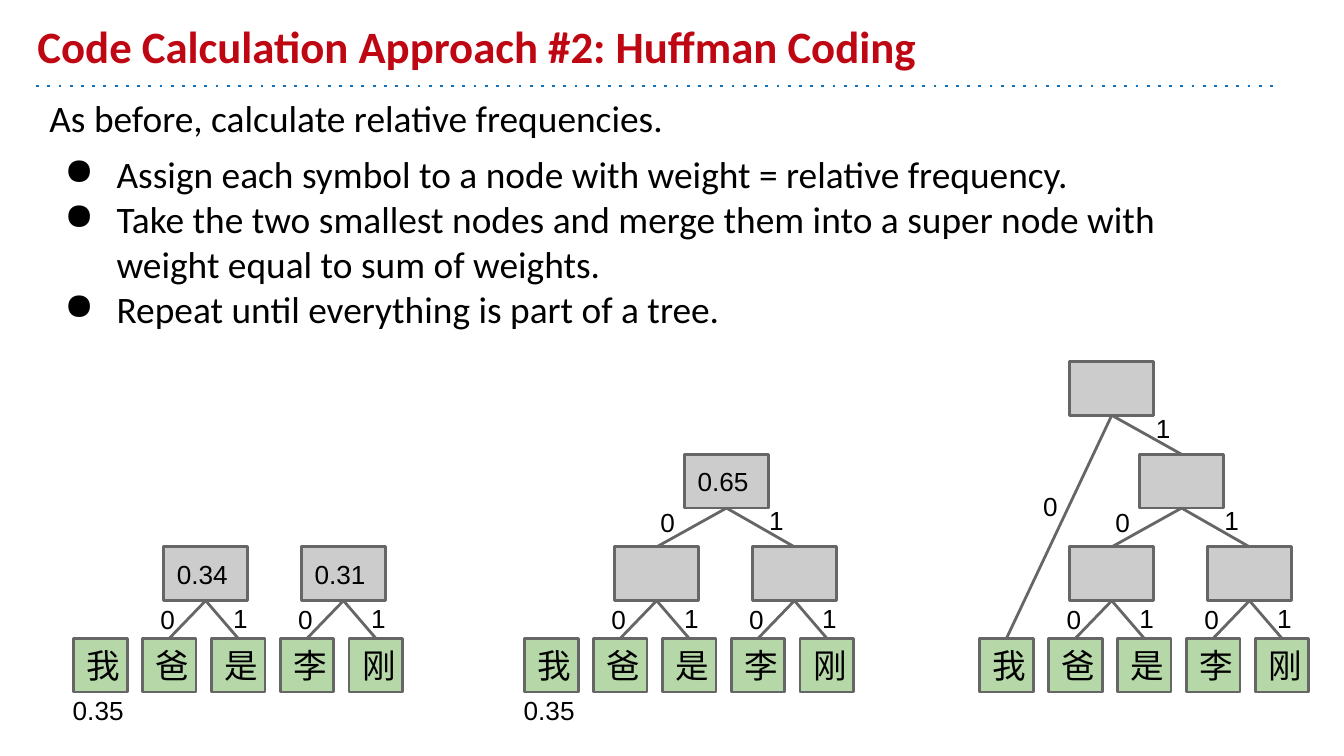
"""Builds a slide showing three stages of Huffman coding as merged trees."""
from dataclasses import dataclass

from lxml import etree
from pptx import Presentation
from pptx.dml.color import RGBColor
from pptx.enum.dml import MSO_LINE
from pptx.enum.shapes import MSO_CONNECTOR, MSO_SHAPE
from pptx.enum.text import MSO_ANCHOR, PP_ALIGN
from pptx.oxml.ns import qn
from pptx.shapes.autoshape import Shape
from pptx.shapes.connector import Connector
from pptx.slide import Slide
from pptx.text.text import _Paragraph as Paragraph
from pptx.util import Pt

ROUND_DOT = MSO_LINE.ROUND_DOT
STRAIGHT = MSO_CONNECTOR.STRAIGHT
RECTANGLE = MSO_SHAPE.RECTANGLE
TOP, MIDDLE, BOTTOM = MSO_ANCHOR.TOP, MSO_ANCHOR.MIDDLE, MSO_ANCHOR.BOTTOM
LEFT = PP_ALIGN.LEFT

COLORS = {
    "title": "BE0712",
    "rule": "1072BD",
    "text": "000000",
    "leaf": "B6D7A8",
    "node": "CCCCCC",
    "outline": "666666",
}
SYMBOLS = "我爸是李刚"
LEAF_SIZE = 28.8
LEAF_PITCH = 36.9
LEAF_TOP = 342
NODE_WIDTH = 45
NODE_HEIGHT = 28.8
LEVEL_TOPS = (293, 243.4, 193.7)
TITLE = "Code Calculation Approach #2: Huffman Coding"
INTRODUCTION = "As before, calculate relative frequencies."
STEPS = (
    "Assign each symbol to a node with weight = relative frequency.",
    "Take the two smallest nodes and merge them into a super node with "
    "weight equal to sum of weights.",
    "Repeat until everything is part of a tree.",
)


@dataclass(frozen=True)
class Style:
    size: float
    font: str = "Arial"
    color: str = "text"
    bold: bool = False


@dataclass(frozen=True)
class Box:
    left: float
    top: float
    width: float
    height: float


@dataclass(frozen=True)
class Child:
    center: float
    top: float


@dataclass(frozen=True)
class BitLabel:
    bit: str
    across: float
    down: float


@dataclass(frozen=True)
class Merge:
    center: float
    level: int
    children: tuple[Child, Child]
    labels: tuple[BitLabel, BitLabel]
    weight: str = ""


@dataclass(frozen=True)
class Tree:
    left: float
    merges: tuple[Merge, ...]
    first_weight: str = ""


TITLE_STYLE = Style(24, "Calibri", "title", True)
BODY_STYLE = Style(20, "Calibri")
SYMBOL_STYLE = Style(18)
NUMBER_STYLE = Style(14)
PAIR_LABELS = (BitLabel("0", -31.3, 23), BitLabel("1", 7.7, 22.3))
SUPER_LABELS = (BitLabel("0", -42.5, 20.9), BitLabel("1", 15.8, 19.4))
ROOT_LABELS = (BitLabel("0", -43.9, 61.9), BitLabel("1", 16.6, 20.2))
LEFT_CENTER, SUPER_CENTER, RIGHT_CENTER = 70.8, 108.2, 144.6


def color(name: str) -> RGBColor:
    """Look up a named colour."""
    return RGBColor.from_string(COLORS[name])


def leaf(index: int) -> Child:
    """Give the top centre of a leaf within its tree."""
    return Child(LEAF_SIZE / 2 + index * LEAF_PITCH, LEAF_TOP)


def pair(center: float, first_leaf: int, weight: str = "") -> Merge:
    """Describe a node that merges two neighbouring leaves."""
    return Merge(center, 0, (leaf(first_leaf), leaf(first_leaf + 1)), PAIR_LABELS, weight)


def pairs(left_weight: str = "", right_weight: str = "") -> tuple[Merge, Merge]:
    """Describe both bottom merges of a tree."""
    return pair(LEFT_CENTER, 1, left_weight), pair(RIGHT_CENTER, 3, right_weight)


def super_node(weight: str = "") -> Merge:
    """Describe the node that merges both pairs."""
    children = (Child(LEFT_CENTER, LEVEL_TOPS[0]), Child(RIGHT_CENTER, LEVEL_TOPS[0]))
    return Merge(SUPER_CENTER, 1, children, SUPER_LABELS, weight)


ROOT = Merge(LEFT_CENTER, 2, (leaf(0), Child(SUPER_CENTER, LEVEL_TOPS[1])), ROOT_LABELS)
TREES = (
    Tree(39.4, pairs("0.34", "0.31"), "0.35"),
    Tree(281, (*pairs(), super_node("0.65")), "0.35"),
    Tree(524.8, (*pairs(), super_node(), ROOT)),
)


def format_paragraph(paragraph: Paragraph, style: Style) -> None:
    """Apply a text style to every run."""
    paragraph.alignment = LEFT
    for run in paragraph.runs:
        run.font.size = Pt(style.size)
        run.font.name = style.font
        run.font.bold = style.bold
        run.font.color.rgb = color(style.color)


def write_text(shape: Shape, text: str, style: Style, anchor: MSO_ANCHOR) -> None:
    """Fill a shape with wrapped and styled text."""
    frame = shape.text_frame
    frame.text = text
    frame.word_wrap = True
    frame.vertical_anchor = anchor
    frame.margin_left = frame.margin_right = Pt(7.2)
    frame.margin_top = frame.margin_bottom = Pt(7.2)
    for paragraph in frame.paragraphs:
        format_paragraph(paragraph, style)


def add_text(slide: Slide, box: Box, text: str, style: Style, anchor: MSO_ANCHOR = TOP) -> Shape:
    """Add a text box."""
    shape = slide.shapes.add_textbox(Pt(box.left), Pt(box.top), Pt(box.width), Pt(box.height))
    write_text(shape, text, style, anchor)
    return shape


def add_node(slide: Slide, box: Box, fill: str, text: str, style: Style) -> None:
    """Add an outlined rectangle with optional text."""
    shape = slide.shapes.add_shape(
        RECTANGLE, Pt(box.left), Pt(box.top), Pt(box.width), Pt(box.height))
    shape.shadow.inherit = False
    shape.fill.solid()
    shape.fill.fore_color.rgb = color(fill)
    shape.line.color.rgb = color("outline")
    shape.line.width = Pt(1.5)
    if text:
        write_text(shape, text, style, MIDDLE)


def add_line(slide: Slide, start: Child, end: Child, line_color: str) -> Connector:
    """Add a straight line without a shadow."""
    connector = slide.shapes.add_connector(
        STRAIGHT, Pt(start.center), Pt(start.top), Pt(end.center), Pt(end.top))
    connector.line.color.rgb = color(line_color)
    connector.line.width = Pt(1.5)
    etree.SubElement(connector._element.spPr, qn("a:effectLst"))
    return connector


def add_bullet(paragraph: Paragraph) -> None:
    """Give a paragraph a hanging round bullet."""
    properties = paragraph._p.get_or_add_pPr()
    properties.set("marL", str(Pt(36)))
    properties.set("indent", str(Pt(-28)))
    bullet_color = etree.SubElement(properties, qn("a:buClr"))
    etree.SubElement(bullet_color, qn("a:srgbClr"), val=COLORS["text"])
    etree.SubElement(properties, qn("a:buChar"), char="●")


def add_merge(slide: Slide, left: float, merge: Merge) -> None:
    """Add a merged node with its edges and bit labels."""
    center, top = left + merge.center, LEVEL_TOPS[merge.level]
    box = Box(center - NODE_WIDTH / 2, top, NODE_WIDTH, NODE_HEIGHT)
    add_node(slide, box, "node", merge.weight, NUMBER_STYLE)
    for child, label in zip(merge.children, merge.labels):
        end = Child(left + child.center, child.top)
        add_line(slide, Child(center, top + NODE_HEIGHT), end, "outline")
        label_box = Box(center + label.across, top + label.down, 19.4, 23)
        add_text(slide, label_box, label.bit, NUMBER_STYLE)


def add_tree(slide: Slide, tree: Tree) -> None:
    """Add the leaves and merges of one stage."""
    for index, symbol in enumerate(SYMBOLS):
        box = Box(tree.left + index * LEAF_PITCH, LEAF_TOP, LEAF_SIZE, LEAF_SIZE)
        add_node(slide, box, "leaf", symbol, SYMBOL_STYLE)
    if tree.first_weight:
        box = Box(tree.left - 7.5, 366, NODE_WIDTH, NODE_HEIGHT)
        add_text(slide, box, tree.first_weight, NUMBER_STYLE, MIDDLE)
    for merge in tree.merges:
        add_merge(slide, tree.left, merge)


def main() -> None:
    """Build and save the presentation."""
    presentation = Presentation()
    presentation.slide_width, presentation.slide_height = Pt(720), Pt(405)
    slide = presentation.slides.add_slide(presentation.slide_layouts[6])
    rule = add_line(slide, Child(19.4, 46.1), Child(684, 46.1), "rule")
    rule.line.dash_style = ROUND_DOT
    rule._element.find(".//" + qn("a:prstDash")).set("val", "dot")
    add_text(slide, Box(13, 7.2, 648, 38.9), TITLE, TITLE_STYLE, BOTTOM)
    body_text = "\n".join((INTRODUCTION, *STEPS))
    body = add_text(slide, Box(19.4, 43.9, 664.6, 181.4), body_text, BODY_STYLE)
    for index, paragraph in enumerate(body.text_frame.paragraphs):
        paragraph.space_before = Pt(6 if index < 2 else 0)
        if index:
            add_bullet(paragraph)
    for tree in TREES:
        add_tree(slide, tree)
    presentation.save("out.pptx")


if __name__ == "__main__":
    main()
